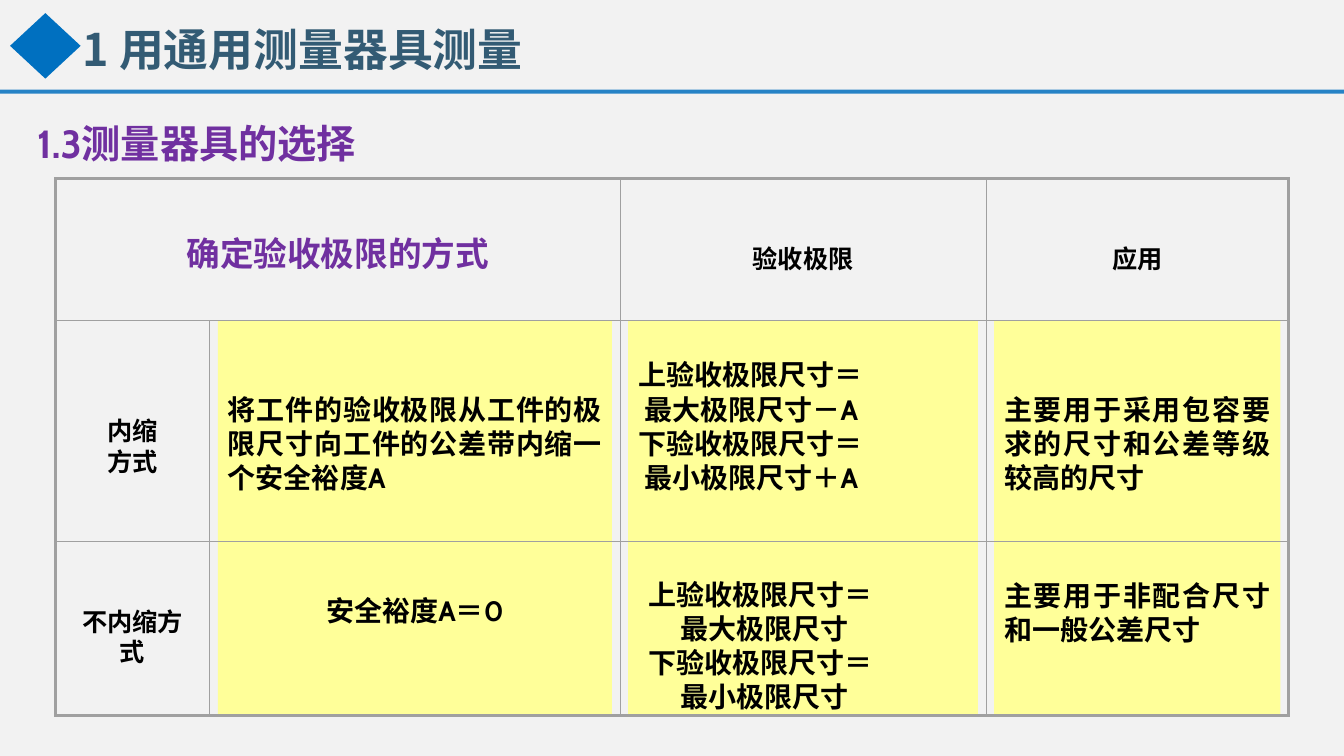
"""Build the slide on choosing measuring instruments."""
from dataclasses import dataclass
from itertools import accumulate

from lxml import etree
from pptx import Presentation
from pptx import util as u
from pptx.dml import color
from pptx.enum import shapes, text
from pptx.oxml import ns

COLORS = {
    "background": "F2F2F2",
    "logo": "0070C0",
    "rule": "2683C6",
    "title": "335B74",
    "purple": "7030A0",
    "black": "000000",
    "yellow": "FFFF99",
    "border": "A0A0A0",
}
CENTER, JUSTIFY, LEFT = text.PP_ALIGN.CENTER, text.PP_ALIGN.JUSTIFY, text.PP_ALIGN.LEFT
TABLE_LEFT, TABLE_TOP = 0.55, 1.77
COLUMN_WIDTHS = (1.53, 4.07, 3.63, 3.0)
ROW_HEIGHTS = (1.41, 2.19, 1.73)
PANEL_INSET, CELL_MARGIN = 0.08, 0.18
THIN, THICK = 0.5, 2.25


@dataclass(frozen=True)
class Style:
    size: float
    color: str = "black"
    align: int = CENTER
    font: str = "Cabin"
    spacing: float = 1.0


@dataclass(frozen=True)
class Heading:
    left: float
    top: float
    width: float
    height: float
    words: str
    style: Style


@dataclass(frozen=True)
class Entry:
    row: int
    column: int
    top: float
    lines: tuple
    style: Style
    indents: tuple = ()


LABEL = Style(18)
BODY = Style(20, align=JUSTIFY)

HEADINGS = (
    Heading(0.27, 0.84, 8.17, 0.92, "1.3测量器具的选择",
            Style(28, "purple", LEFT, spacing=1.5)),
    Heading(0.72, 0.12, 8.09, 0.73, "1 用通用测量器具测量",
            Style(32, "title", LEFT, "Noto Sans CJK SC")),
)

ENTRIES = (
    Entry(0, 0, 0.55, ("确定验收极限的方式",), Style(24, "purple")),
    Entry(0, 2, 0.65, ("验收极限",), LABEL),
    Entry(0, 3, 0.65, ("应用",), LABEL),
    Entry(1, 0, 0.95, ("内缩", "方式"), LABEL),
    Entry(1, 1, 0.72, ("将工件的验收极限从工件的极限尺寸向工件的公差带内缩一个安全裕度A",), BODY),
    Entry(1, 2, 0.38, ("上验收极限尺寸＝", "最大极限尺寸－A", "下验收极限尺寸＝", "最小极限尺寸＋A"),
          BODY, (0, 0.06, 0, 0.06)),
    Entry(1, 3, 0.72, ("主要用于采用包容要求的尺寸和公差等级较高的尺寸",), BODY),
    Entry(2, 0, 0.65, ("不内缩方式",), LABEL),
    Entry(2, 1, 0.53, ("安全裕度A＝0",), Style(20)),
    Entry(2, 2, 0.37, ("上验收极限尺寸＝", "最大极限尺寸", "下验收极限尺寸＝", "最小极限尺寸"),
          BODY, (0.1, 0.42, 0.1, 0.42)),
    Entry(2, 3, 0.38, ("主要用于非配合尺寸和一般公差尺寸",), BODY),
)


def rgb(name: str) -> color.RGBColor:
    return color.RGBColor.from_string(COLORS[name])


def set_all(target: object, values: dict) -> None:
    for name, value in values.items():
        setattr(target, name, value)


def write(frame: object, lines: tuple, style: Style, indents: tuple = ()) -> None:
    for index, line in enumerate(lines):
        para = frame.add_paragraph() if index else frame.paragraphs[0]
        set_all(para, {"alignment": style.align, "line_spacing": style.spacing})
        if indents:
            properties = para._p.get_or_add_pPr()
            properties.set("marL", str(u.Inches(indents[index])))
            properties.set("indent", "0")
        span = para.add_run()
        span.text = line
        set_all(span.font, {"name": style.font, "size": u.Pt(style.size), "bold": True})
        span.font.color.rgb = rgb(style.color)
        east_asian = etree.SubElement(span._r.get_or_add_rPr(), ns.qn("a:ea"))
        east_asian.set("typeface", style.font)


def add_block(page: object, kind: int, left: float, top: float,
              width: float, height: float, fill: str) -> None:
    block = page.shapes.add_shape(
        kind, u.Inches(left), u.Inches(top), u.Inches(width), u.Inches(height))
    block.shadow.inherit = False
    block.fill.solid()
    block.fill.fore_color.rgb = rgb(fill)
    block.line.fill.background()


def add_heading(page: object, heading: Heading) -> None:
    box = page.shapes.add_textbox(
        u.Inches(heading.left), u.Inches(heading.top),
        u.Inches(heading.width), u.Inches(heading.height))
    set_all(box.text_frame, {"word_wrap": True, "vertical_anchor": text.MSO_ANCHOR.MIDDLE})
    write(box.text_frame, (heading.words,), heading.style)


def add_border(cell: object, side: str, width: float) -> None:
    line = etree.SubElement(cell._tc.get_or_add_tcPr(), ns.qn(f"a:ln{side}"))
    line.set("w", str(u.Pt(width)))
    fill = etree.SubElement(line, ns.qn("a:solidFill"))
    etree.SubElement(fill, ns.qn("a:srgbClr")).set("val", COLORS["border"])


def add_panels(page: object) -> None:
    lefts = tuple(accumulate(COLUMN_WIDTHS, initial=TABLE_LEFT))
    tops = tuple(accumulate(ROW_HEIGHTS, initial=TABLE_TOP))
    for row in (1, 2):
        for column in (1, 2, 3):
            add_block(page, shapes.MSO_SHAPE.RECTANGLE, lefts[column] + PANEL_INSET, tops[row],
                      COLUMN_WIDTHS[column] - 2 * PANEL_INSET, ROW_HEIGHTS[row], "yellow")


def add_limits_table(page: object) -> None:
    rows, columns = len(ROW_HEIGHTS), len(COLUMN_WIDTHS)
    table = page.shapes.add_table(
        rows, columns, u.Inches(TABLE_LEFT), u.Inches(TABLE_TOP),
        u.Inches(sum(COLUMN_WIDTHS)), u.Inches(sum(ROW_HEIGHTS))).table
    set_all(table, {"first_row": False, "horz_banding": False})
    for column, width in zip(table.columns, COLUMN_WIDTHS):
        column.width = u.Inches(width)
    for row, height in zip(table.rows, ROW_HEIGHTS):
        row.height = u.Inches(height)
    table.cell(0, 0).merge(table.cell(0, 1))
    for row in range(rows):
        for column in range(columns):
            cell = table.cell(row, column)
            outer = {"L": column == 0, "R": column == columns - 1,
                     "T": row == 0, "B": row == rows - 1}
            for side, is_outer in outer.items():
                add_border(cell, side, THICK if is_outer else THIN)
            cell.fill.background()
    for entry in ENTRIES:
        cell = table.cell(entry.row, entry.column)
        set_all(cell, {"margin_left": u.Inches(CELL_MARGIN), "margin_right": u.Inches(CELL_MARGIN),
                       "margin_top": u.Inches(entry.top), "margin_bottom": 0})
        write(cell.text_frame, entry.lines, entry.style, entry.indents)


def main() -> None:
    deck = Presentation()
    set_all(deck, {"slide_width": u.Inches(13.33), "slide_height": u.Inches(7.5)})
    page = deck.slides.add_slide(deck.slide_layouts[6])
    page.background.fill.solid()
    page.background.fill.fore_color.rgb = rgb("background")
    add_block(page, shapes.MSO_SHAPE.DIAMOND, 0.1, 0.13, 0.7, 0.65, "logo")
    add_block(page, shapes.MSO_SHAPE.RECTANGLE, 0, 0.89, 13.33, 0.04, "rule")
    add_panels(page)
    add_limits_table(page)
    for heading in HEADINGS:
        add_heading(page, heading)
    deck.save("out.pptx")


if __name__ == "__main__":
    main()
